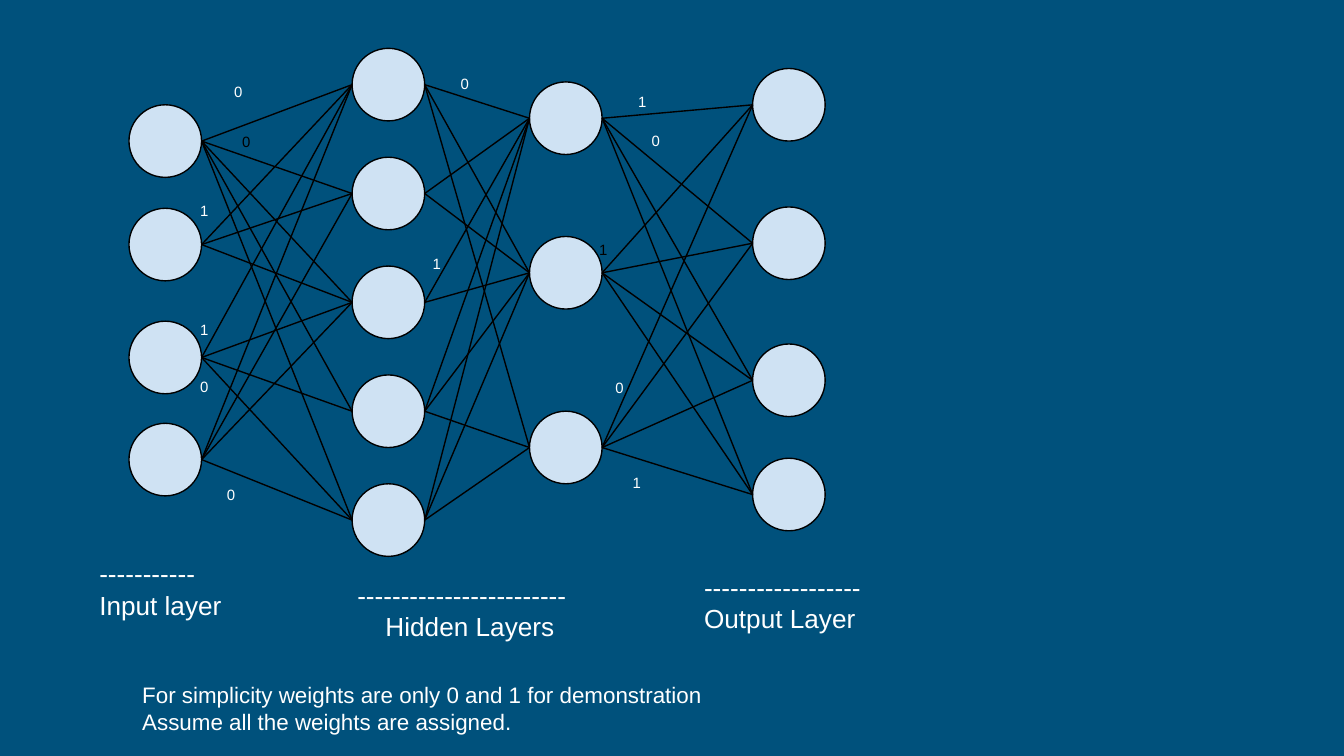
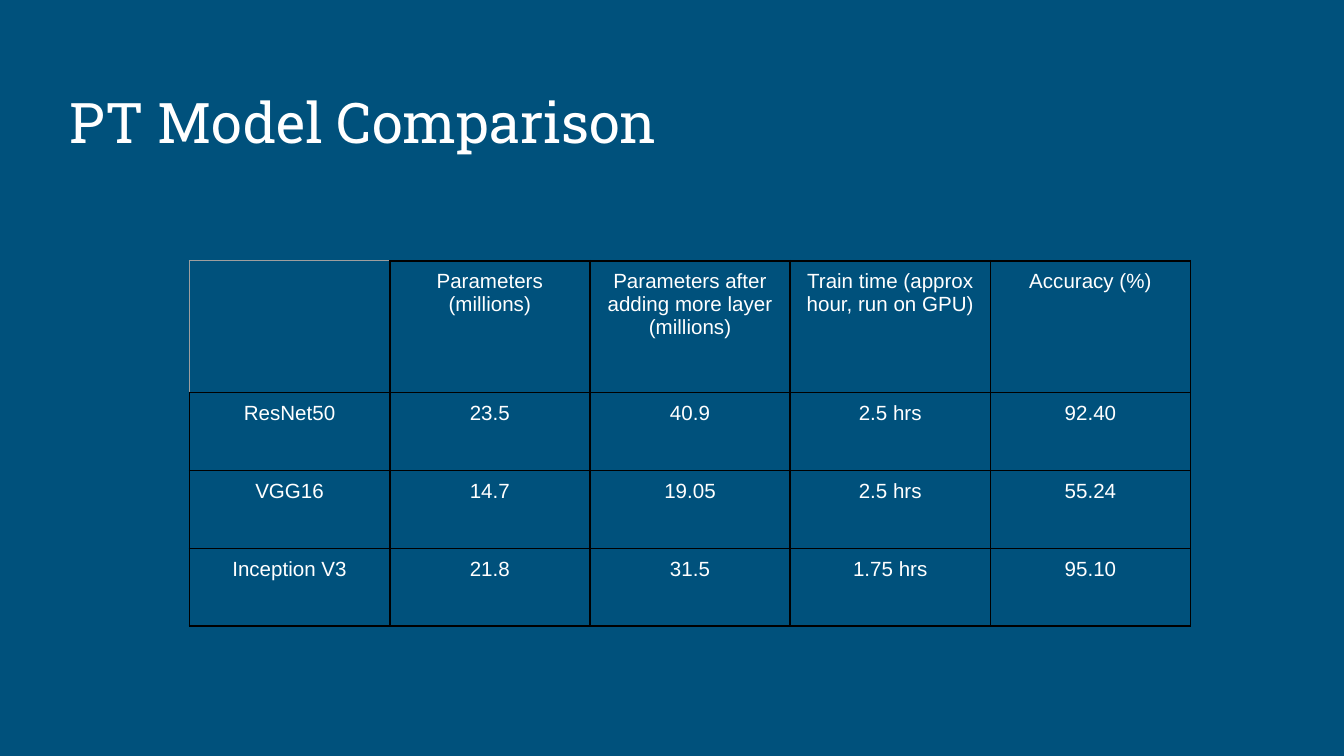
"""Build a neural network diagram and a table comparing pretrained models."""
from dataclasses import dataclass

from lxml.etree import SubElement
from pptx import Presentation
from pptx.dml.color import RGBColor
from pptx.enum.shapes import MSO_CONNECTOR, MSO_SHAPE
from pptx.enum.text import MSO_ANCHOR, MSO_AUTO_SIZE, PP_ALIGN
from pptx.oxml.ns import qn
from pptx.util import Inches, Pt


@dataclass(frozen=True)
class Theme:
    background: str = "00517C"
    node: str = "CFE2F3"
    ink: str = "000000"
    light: str = "FFFFFF"
    corner: str = "9E9E9E"
    body_font: str = "Arial"
    title_font: str = "Roboto Slab"
    title_size: float = 30
    label_size: float = 14
    note_size: float = 12
    table_size: float = 11
    weight_size: float = 8
    line_width: float = 0.75
    border_width: float = 1


THEME = Theme()
NODE_SIZE = 0.54

LAYERS = [
    (0.96, [0.78, 1.55, 2.39, 3.15]),
    (2.62, [0.36 + 0.81 * step for step in range(5)]),
    (3.94, [0.61, 1.76, 3.06]),
    (5.60, [0.51, 1.54, 2.56, 3.41]),
]

LINKS = [
    [(0, 1, 2, 3, 4), (0, 1, 2), (0, 2, 3, 4), (0, 1, 2, 4)],
    [(0, 1, 2), (0, 1), (0, 1), (0, 1, 2), (0, 1, 2)],
    [(0, 1, 2, 3)] * 3,
]

LAYER_LABELS = [
    ("------------------------", "Hidden Layers", 2.56, 4.21, 1.98, 0.68, 0.21),
    ("-----------", "Input layer", 0.64, 4.05, 1.32, 0.68, 0),
    ("------------------", "Output Layer", 5.14, 4.15, 1.48, 0.62, 0),
]

NARROW, WIDE = (0.18, 0.25), (0.33, 0.27)
WEIGHTS = [
    ("0", 1.66, 0.55, NARROW, THEME.light),
    ("0", 1.72, 0.92, NARROW, THEME.ink),
    ("1", 1.39, 1.43, WIDE, THEME.light),
    ("1", 1.39, 2.32, WIDE, THEME.light),
    ("1", 3.12, 1.83, WIDE, THEME.light),
    ("1", 4.61, 3.46, WIDE, THEME.light),
    ("1", 4.65, 0.62, WIDE, THEME.light),
    ("1", 4.36, 1.72, WIDE, THEME.ink),
    ("0", 1.39, 2.74, WIDE, THEME.light),
    ("0", 1.59, 3.55, WIDE, THEME.light),
    ("0", 4.75, 0.91, WIDE, THEME.light),
    ("0", 4.48, 2.75, WIDE, THEME.light),
    ("0", 3.33, 0.49, WIDE, THEME.light),
]

NOTE = [
    "For simplicity weights are only 0 and 1 for demonstration",
    "Assume all the weights are assigned.",
]

TITLE = "PT Model Comparison"
MODELS = [
    ["", "Parameters\n(millions)", "Parameters after adding more layer (millions)",
     "Train time (approx hour, run on GPU)", "Accuracy (%)"],
    ["ResNet50", "23.5", "40.9", "2.5 hrs", "92.40"],
    ["VGG16", "14.7", "19.05", "2.5 hrs", "55.24"],
    ["Inception V3", "21.8", "31.5", "1.75 hrs", "95.10"],
]
COLUMN_WIDTH = 1.49
ROW_HEIGHTS = [0.98, 0.58, 0.58, 0.58]


def write(frame, lines, size, color=THEME.light, font=THEME.body_font,
          align=PP_ALIGN.LEFT, anchor=MSO_ANCHOR.TOP, indents=()):
    frame.word_wrap = True
    frame.vertical_anchor = anchor
    for number, text in enumerate(lines):
        para = frame.paragraphs[0] if number == 0 else frame.add_paragraph()
        para.alignment = align
        if number < len(indents) and indents[number]:
            para._p.get_or_add_pPr().set("marL", str(Inches(indents[number])))
        span = para.add_run()
        span.text = text
        span.font.size = Pt(size)
        span.font.name = font
        span.font.color.rgb = RGBColor.from_string(color)


def add_text(page, lines, left, top, width, height, size,
             auto_size=MSO_AUTO_SIZE.NONE, **style):
    box = page.shapes.add_textbox(Inches(left), Inches(top), Inches(width), Inches(height))
    frame = box.text_frame
    frame.margin_left = frame.margin_right = Inches(0.1)
    frame.margin_top = frame.margin_bottom = Inches(0.1)
    frame.auto_size = auto_size
    write(frame, lines, size, **style)


def add_page(deck):
    page = deck.slides.add_slide(deck.slide_layouts[6])
    fill = page.background.fill
    fill.solid()
    fill.fore_color.rgb = RGBColor.from_string(THEME.background)
    return page


def outline(shape):
    shape.line.color.rgb = RGBColor.from_string(THEME.ink)
    shape.line.width = Pt(THEME.line_width)


def add_node(page, left, top):
    node = page.shapes.add_shape(MSO_SHAPE.OVAL, Inches(left), Inches(top),
                                 Inches(NODE_SIZE), Inches(NODE_SIZE))
    node.shadow.inherit = False
    node.fill.solid()
    node.fill.fore_color.rgb = RGBColor.from_string(THEME.node)
    outline(node)


def add_link(page, start_left, start_top, end_left, end_top):
    link = page.shapes.add_connector(
        MSO_CONNECTOR.STRAIGHT,
        Inches(start_left + NODE_SIZE), Inches(start_top + NODE_SIZE / 2),
        Inches(end_left), Inches(end_top + NODE_SIZE / 2))
    outline(link)
    SubElement(link._element.spPr, qn("a:effectLst"))


def add_border(cell, side, color, width):
    border = SubElement(cell._tc.get_or_add_tcPr(), qn(f"a:ln{side}"), w=str(Pt(width)))
    fill = SubElement(border, qn("a:solidFill"))
    SubElement(fill, qn("a:srgbClr"), val=color)


def build_network(deck):
    page = add_page(deck)
    for left, tops in LAYERS:
        for top in tops:
            add_node(page, left, top)
    for rule, name, left, top, width, height, indent in LAYER_LABELS:
        add_text(page, [rule, name], left, top, width, height, THEME.label_size,
                 indents=(0, indent))
    for (start_left, starts), (end_left, ends), links in zip(LAYERS, LAYERS[1:], LINKS):
        for start_top, targets in zip(starts, links):
            for target in targets:
                add_link(page, start_left, start_top, end_left, ends[target])
    for weight, left, top, (width, height), color in WEIGHTS:
        add_text(page, [weight], left, top, width, height, THEME.weight_size,
                 auto_size=MSO_AUTO_SIZE.SHAPE_TO_FIT_TEXT, color=color)
    add_text(page, NOTE, 0.96, 4.97, 5.71, 0.56, THEME.note_size)


def build_comparison(deck):
    page = add_page(deck)
    add_text(page, [TITLE], 0.42, 0.5, 9.15, 0.75, THEME.title_size,
             font=THEME.title_font, anchor=MSO_ANCHOR.BOTTOM)
    columns = len(MODELS[0])
    table = page.shapes.add_table(
        len(MODELS), columns, Inches(1.41), Inches(1.94),
        Inches(COLUMN_WIDTH * columns), Inches(sum(ROW_HEIGHTS))).table
    table.first_row = table.horz_banding = False
    for column in table.columns:
        column.width = Inches(COLUMN_WIDTH)
    for row, height in zip(table.rows, ROW_HEIGHTS):
        row.height = Inches(height)
    for row_number, values in enumerate(MODELS):
        for column_number, value in enumerate(values):
            cell = table.cell(row_number, column_number)
            cell.margin_left = cell.margin_right = Inches(0.07)
            cell.margin_top = cell.margin_bottom = Inches(0.07)
            for side in "LRTB":
                if not value and side in "LT":
                    add_border(cell, side, THEME.corner, THEME.line_width)
                else:
                    add_border(cell, side, THEME.ink, THEME.border_width)
            cell.fill.background()
            if value:
                write(cell.text_frame, value.split("\n"), THEME.table_size,
                      align=PP_ALIGN.CENTER)


def main():
    deck = Presentation()
    deck.slide_width = Inches(10)
    deck.slide_height = deck.slide_width * 9 // 16
    build_network(deck)
    build_comparison(deck)
    deck.save("out.pptx")


if __name__ == "__main__":
    main()
